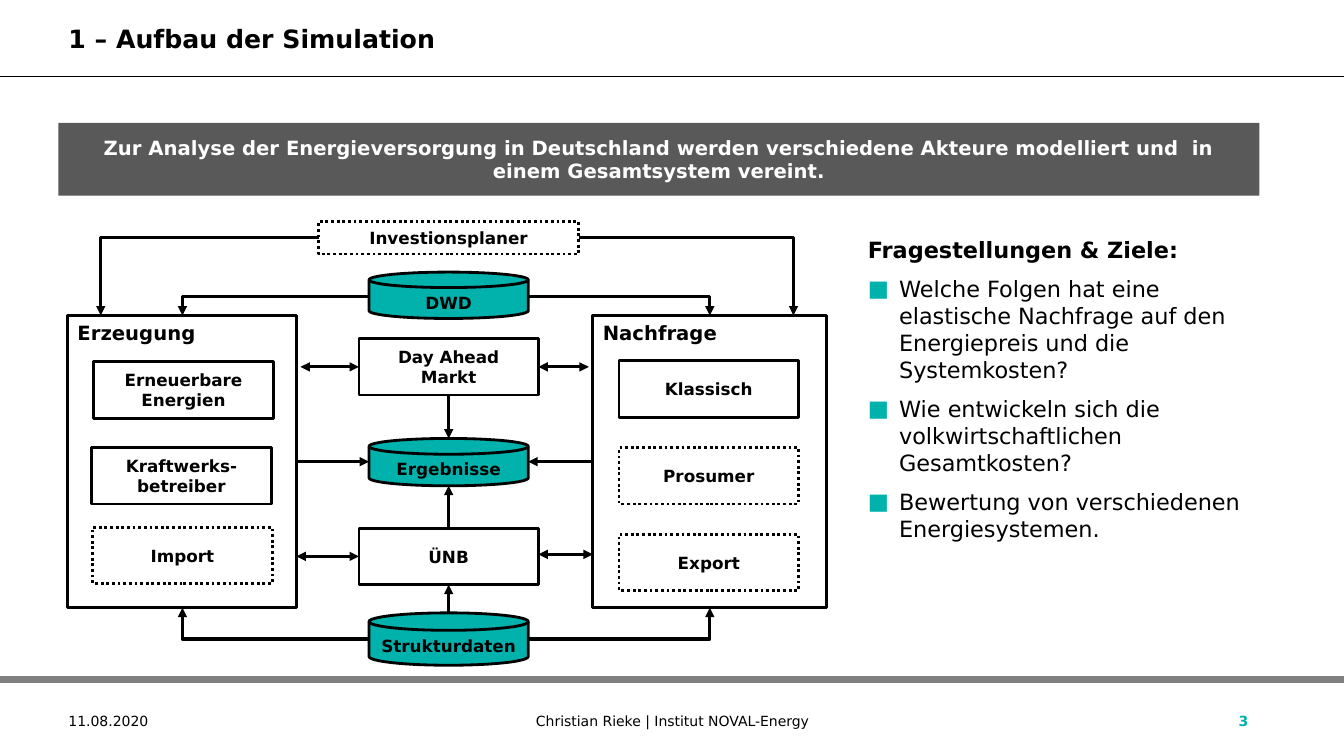
from dataclasses import dataclass

from lxml.etree import SubElement
from pptx import Presentation
from pptx.dml.color import RGBColor
from pptx.enum.dml import MSO_LINE
from pptx.enum.shapes import MSO_CONNECTOR, MSO_SHAPE
from pptx.enum.text import MSO_ANCHOR, PP_ALIGN
from pptx.oxml.ns import qn
from pptx.util import Pt

PX = 9144  # 100 px to the inch


@dataclass(frozen=True)
class Theme:
    font: str = "DejaVu Sans"
    ink: RGBColor = RGBColor(0, 0, 0)
    paper: RGBColor = RGBColor(255, 255, 255)
    teal: RGBColor = RGBColor(0x00, 0xB1, 0xAC)
    slate: RGBColor = RGBColor(0x59, 0x59, 0x59)
    gray: RGBColor = RGBColor(0x80, 0x80, 0x80)
    title: int = 18
    lead: int = 16
    head: int = 14
    label: int = 12
    small: int = 10


theme = Theme()
LEFT, MID, RIGHT = PP_ALIGN.LEFT, PP_ALIGN.CENTER, PP_ALIGN.RIGHT
TOP, HALF = MSO_ANCHOR.TOP, MSO_ANCHOR.MIDDLE


def write(par, text, size, color=theme.ink, bold=True, align=LEFT):
    par.alignment = align
    run = par.add_run()
    run.text = text
    look = {"name": theme.font, "size": Pt(size), "bold": bold}
    for key, value in look.items():
        setattr(run.font, key, value)
    run.font.color.rgb = color


def draw(start, end, color, width, tips=()):
    """Draw a line, bent once if its ends share no axis, with arrow tips."""
    bent = start[0] != end[0] and start[1] != end[1]
    kind = MSO_CONNECTOR.ELBOW if bent else MSO_CONNECTOR.STRAIGHT
    line = slide.shapes.add_connector(kind, *(n * PX for n in start + end))
    line.line.color.rgb = color
    line.line.width = Pt(width)
    props = line._element.spPr
    if bent:
        props.find(qn("a:prstGeom")).set("prst", "bentConnector2")
    for tip in tips:
        SubElement(props.find(qn("a:ln")), qn(tip), type="triangle")
    SubElement(props, qn("a:effectLst"))
    return line


deck = Presentation()
deck.slide_width, deck.slide_height = 1333 * PX, 750 * PX
slide = deck.slides.add_slide(deck.slide_layouts[6])

# Page frame
draw((0, 76), (1333, 76), theme.ink, 1)
draw((0, 674), (1333, 674), theme.gray, 4.5)

notes = [
    ("1 – Aufbau der Simulation", (58, 11, 1191, 55), theme.title, theme.ink, True, LEFT),
    ("11.08.2020", (58, 695, 189, 40), theme.small, theme.ink, False, LEFT),
    ("Christian Rieke | Institut NOVAL-Energy", (352, 695, 630, 40), theme.small, theme.ink, False, MID),
    ("3", (1160, 695, 88, 40), theme.small, theme.teal, True, RIGHT),
]
for text, area, size, color, bold, align in notes:
    frame = slide.shapes.add_textbox(*(n * PX for n in area)).text_frame
    frame.word_wrap = True
    frame.vertical_anchor = HALF
    write(frame.paragraphs[0], text, size, color, bold, align)

# Banner, panels, boxes and data stores
rect, disk = MSO_SHAPE.RECTANGLE, MSO_SHAPE.FLOWCHART_MAGNETIC_DISK
styles = {  # form, fill, dash, size, text colour, align, anchor
    "banner": (rect, theme.slate, None, theme.head, theme.paper, MID, HALF),
    "panel": (rect, None, None, theme.head, theme.ink, LEFT, TOP),
    "box": (rect, theme.paper, None, theme.label, theme.ink, MID, HALF),
    "plan": (rect, theme.paper, MSO_LINE.ROUND_DOT, theme.label, theme.ink, MID, HALF),
    "store": (disk, theme.teal, None, theme.label, theme.ink, MID, TOP),
}
parts = [
    ("banner", "Zur Analyse der Energieversorgung in Deutschland werden verschiedene "
               "Akteure modelliert und  in einem Gesamtsystem vereint.", 58, 122, 1191, 72),
    ("panel", "Erzeugung", 67, 313, 227, 290),
    ("panel", "Nachfrage", 588, 313, 232, 290),
    ("plan", "Investionsplaner", 316, 220, 258, 32),
    ("store", "DWD", 366, 270, 158, 46),
    ("store", "Ergebnisse", 366, 435, 158, 47),
    ("store", "Strukturdaten", 366, 608, 158, 52),
]
WIDE, HIGH = 178, 56
boxes = [
    ("box", "Day Ahead Markt", 356, 336),
    ("box", "ÜNB", 356, 524),
    ("box", "Erneuerbare Energien", 93, 359),
    ("box", "Kraftwerks-betreiber", 91, 444),
    ("plan", "Import", 92, 523),
    ("box", "Klassisch", 614, 358),
    ("plan", "Prosumer", 614, 444),
    ("plan", "Export", 614, 530),
]
parts += [(*box, WIDE, HIGH) for box in boxes]
shapes = {}
for style, text, *area in parts:
    form, fill, dash, size, color, align, anchor = styles[style]
    shape = slide.shapes.add_shape(form, *(n * PX for n in area))
    shape.shadow.inherit = False
    if fill is None:
        shape.fill.background()
    else:
        shape.fill.solid()
        shape.fill.fore_color.rgb = fill
    if style == "banner":
        shape.line.fill.background()
    else:
        shape.line.color.rgb = theme.ink
        shape.line.width = Pt(2)
        shape.line.dash_style = dash
    shape.text_frame.vertical_anchor = anchor
    write(shape.text_frame.paragraphs[0], text, size, color, True, align)
    shapes[text] = shape

# Flows: start, end, tips, joined start, joined end (name and side)
to, both = ["a:tailEnd"], ["a:headEnd", "a:tailEnd"]
market, grid = "Day Ahead Markt", "ÜNB"
supply, demand, planner = "Erzeugung", "Nachfrage", "Investionsplaner"
flows = [
    ((316, 236), (100, 313), to, None, None),
    ((574, 236), (787, 313), to, None, None),
    ((366, 294), (181, 313), to, None, None),
    ((524, 294), (704, 313), to, None, None),
    ((366, 634), (181, 603), to, None, None),
    ((524, 634), (704, 603), to, None, None),
    ((356, 364), (298, 364), both, (market, 1), None),
    ((534, 364), (584, 364), both, (market, 3), None),
    ((356, 552), (294, 552), both, (grid, 1), None),
    ((534, 550), (588, 550), both, None, None),
    ((445, 392), (445, 435), to, (market, 2), None),
    ((445, 524), (445, 482), to, (grid, 0), None),
    ((445, 608), (445, 580), to, None, (grid, 2)),
    ((294, 458), (366, 458), to, (supply, 3), None),
    ((588, 458), (524, 458), to, (demand, 1), None),
]
for start, end, tips, first, last in flows:
    flow = draw(start, end, theme.ink, 2.25, tips)
    if first:
        flow.begin_connect(shapes[first[0]], first[1])
    if last:
        flow.end_connect(shapes[last[0]], last[1])

# Questions and goals
frame = slide.shapes.add_textbox(*(n * PX for n in (851, 229, 397, 425))).text_frame
frame.word_wrap = True
head = frame.paragraphs[0]
head.space_after = Pt(6)
write(head, "Fragestellungen & Ziele:", theme.lead)
goals = [
    "Welche Folgen hat eine elastische Nachfrage auf den Energiepreis und die Systemkosten?",
    "Wie entwickeln sich die volkwirtschaftlichen Gesamtkosten?",
    "Bewertung von verschiedenen Energiesystemen.",
]
for goal in goals:
    par = frame.add_paragraph()
    par.space_before, par.space_after = Pt(3), Pt(6)
    write(par, goal, theme.lead, bold=False)
    props = par._p.get_or_add_pPr()
    props.set("marL", str(31 * PX))
    props.set("indent", str(-31 * PX))
    tint = SubElement(props, qn("a:buClr"))
    SubElement(tint, qn("a:srgbClr"), val=str(theme.teal))
    SubElement(props, qn("a:buFont"), typeface=theme.font)
    SubElement(props, qn("a:buChar"), char="■")

deck.save("out.pptx")
